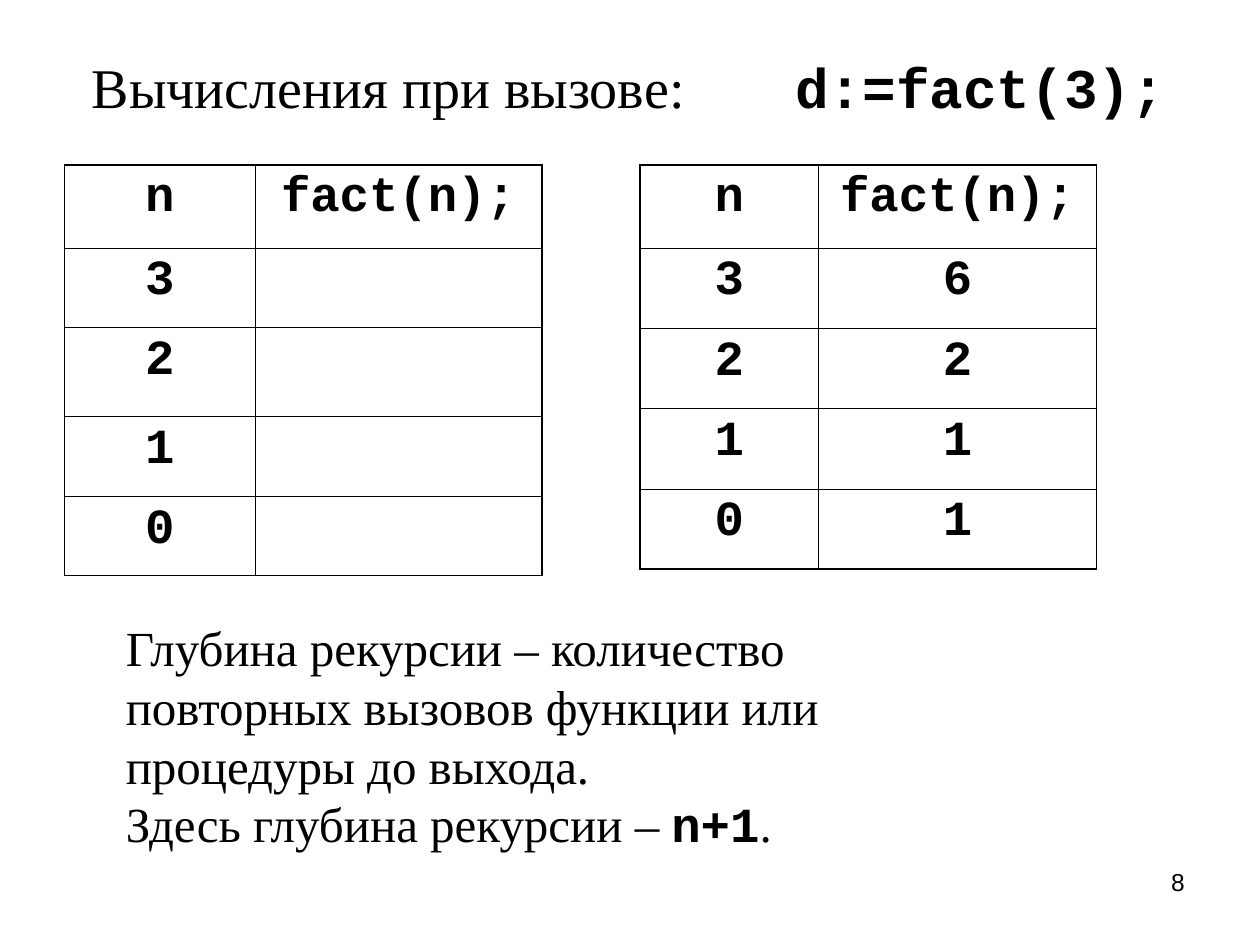
from lxml.etree import SubElement
from pptx import Presentation
from pptx.dml.color import RGBColor
from pptx.enum.text import MSO_ANCHOR as Anchor, MSO_AUTO_SIZE as AutoSize, PP_ALIGN as Align
from pptx.oxml.ns import qn
from pptx.util import Pt

THEME = {
    "ink": "000000",
    "serif": "Times New Roman",
    "code": "Courier New",
    "sans": "Arial",
    "title": 32,
    "body": 28,
    "number": 14,
    "outer": 1.08,
    "inner": 0.45,
}

HEADING = [[("Вычисления при вызове:\t", "serif"), ("d:=fact(3);", "code")]]
DEPTH = [
    [("Глубина рекурсии – количество повторных вызовов функции или процедуры до выхода.", "serif")],
    [("Здесь глубина рекурсии – ", "serif"), ("n+1", "code"), (".", "serif")],
]
PAGE_NUMBER = [[("8", "sans")]]

HEADER = ("n", "fact(n);")
TABLES = [
    {
        "left": 36.9,
        "columns": (108.8, 164),
        "heights": (47.5, 45.3, 51.2, 45.3, 45.3),
        "rows": [HEADER, ("3", ""), ("2", ""), ("1", ""), ("0", "")],
    },
    {
        "left": 365.7,
        "columns": (102.1, 158.8),
        "heights": (47.5, 45.9, 45.9, 45.9, 45.9),
        "rows": [HEADER, ("3", "6"), ("2", "2"), ("1", "1"), ("0", "1")],
    },
]
TABLE_TOP = 94.2
HEADING_INDENT = 16.5
CALL_TAB = 402


def style_font(font, face, size):
    font.name = THEME[face]
    font.size = Pt(THEME[size])
    font.bold = face == "code"
    font.color.rgb = RGBColor.from_string(THEME["ink"])


def add_text(page, place, lines, size, align=Align.LEFT, anchor=Anchor.TOP):
    box = page.shapes.add_textbox(*map(Pt, place))
    frame = box.text_frame
    frame.word_wrap = True
    frame.vertical_anchor = anchor
    for index, line in enumerate(lines):
        para = frame.add_paragraph() if index else frame.paragraphs[0]
        para.alignment = align
        for words, face in line:
            span = para.add_run()
            span.text = words
            style_font(span.font, face, size)
    return box


def set_borders(cell, weights):
    properties = cell._tc.get_or_add_tcPr()
    for side, weight in weights.items():
        line = SubElement(properties, qn(f"a:ln{side}"), w=str(Pt(weight)))
        fill = SubElement(line, qn("a:solidFill"))
        SubElement(fill, qn("a:srgbClr"), val=THEME["ink"])


def add_grid(page, data):
    columns, heights, rows = data["columns"], data["heights"], data["rows"]
    place = (data["left"], TABLE_TOP, sum(columns), sum(heights))
    table = page.shapes.add_table(len(rows), len(columns), *map(Pt, place)).table
    table.first_row = False
    table.horz_banding = False
    for column, width in zip(table.columns, columns):
        column.width = Pt(width)
    for r, (values, height) in enumerate(zip(rows, heights)):
        table.rows[r].height = Pt(height)
        for c, value in enumerate(values):
            cell = table.cell(r, c)
            cell.text = value
            para = cell.text_frame.paragraphs[0]
            para.alignment = Align.CENTER
            for span in para.runs:
                style_font(span.font, "code", "body")
            edges = {"L": c == 0, "R": c == len(columns) - 1,
                     "T": r == 0, "B": r == len(rows) - 1}
            set_borders(cell, {side: THEME["outer" if edge else "inner"]
                               for side, edge in edges.items()})
            cell.fill.background()


def main():
    deck = Presentation()
    deck.slide_width, deck.slide_height = Pt(720), Pt(540)
    page = deck.slides.add_slide(deck.slide_layouts[6])

    add_text(page, (516, 491.8, 168, 37.4), PAGE_NUMBER, "number", Align.RIGHT)
    heading = add_text(page, (36, 21.6, 648, 55.4), HEADING, "title", anchor=Anchor.MIDDLE)
    heading.text_frame.margin_left = Pt(HEADING_INDENT)
    properties = heading.text_frame.paragraphs[0]._p.get_or_add_pPr()
    stops = SubElement(properties, qn("a:tabLst"))
    SubElement(stops, qn("a:tab"), pos=str(Pt(CALL_TAB)), algn="l")

    for data in TABLES:
        add_grid(page, data)

    depth = add_text(page, (64.8, 349.2, 493.2, 141.8), DEPTH, "body", anchor=Anchor.MIDDLE)
    depth.text_frame.auto_size = AutoSize.SHAPE_TO_FIT_TEXT
    deck.save("out.pptx")


if __name__ == "__main__":
    main()
